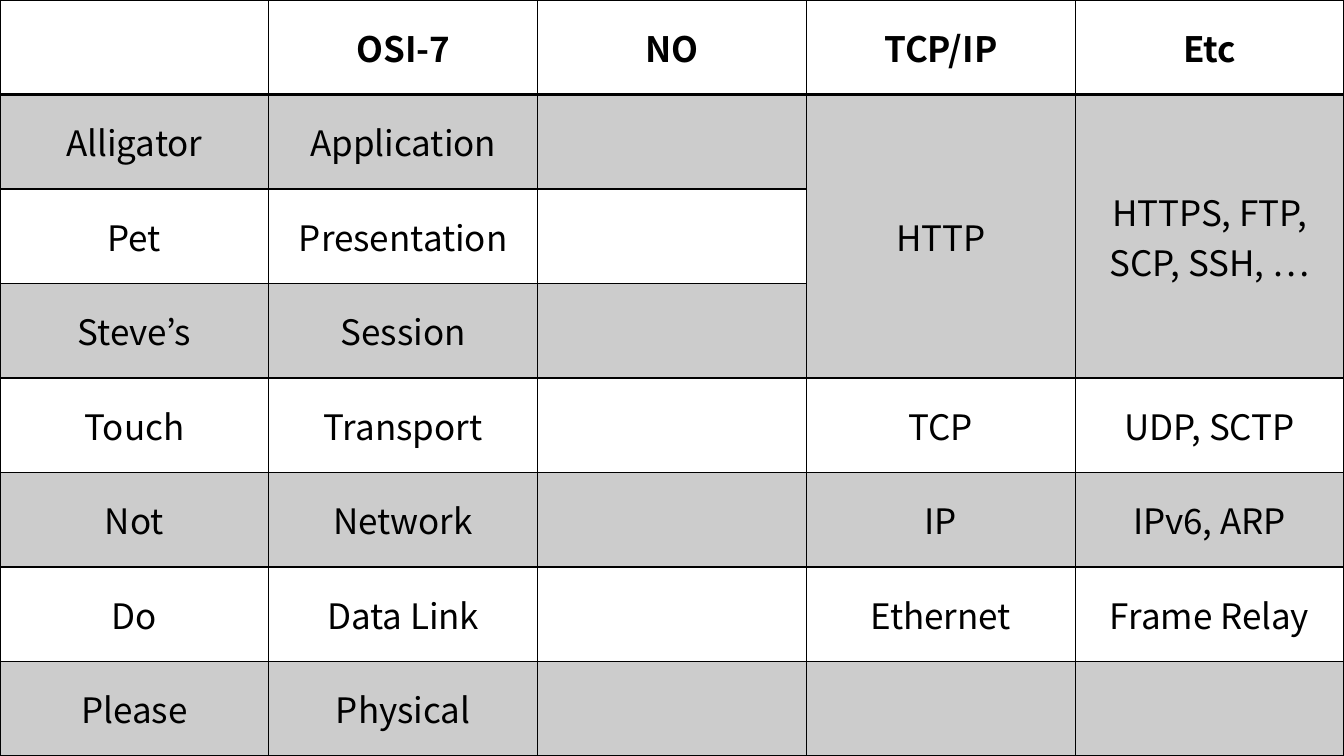
from lxml.etree import SubElement
from pptx import Presentation
from pptx.dml.color import RGBColor
from pptx.enum.text import MSO_ANCHOR, PP_ALIGN
from pptx.oxml import parse_xml
from pptx.oxml.ns import nsdecls, qn
from pptx.util import Cm, Pt

ROWS = [
    ("", "OSI-7", "NO", "TCP/IP", "Etc"),
    ("Alligator", "Application", "", "HTTP", "HTTPS, FTP, SCP, SSH, …"),
    ("Pet", "Presentation", "", "", ""),
    ("Steve’s", "Session", "", "", ""),
    ("Touch", "Transport", "", "TCP", "UDP, SCTP"),
    ("Not", "Network", "", "IP", "IPv6, ARP"),
    ("Do", "Data Link", "", "Ethernet", "Frame Relay"),
    ("Please", "Physical", "", "", ""),
]
MERGED = [(1, 3, 3), (1, 4, 3)]
COLORS = {"ink": "000000", "band": "000000"}
BAND_ALPHA = 20
FONT = "Noto Sans CJK KR"
PLAIN_STYLE = "{2D5ABB26-0587-4C30-8999-92F81FD0307C}"
WIDTH, HEIGHT = Cm(33.87), Cm(19.05)


def paint(cell, shaded):
    if not shaded:
        cell.fill.background()
        return
    cell.fill.solid()
    cell.fill.fore_color.rgb = RGBColor.from_string(COLORS["band"])
    color = cell._tc.tcPr.find(".//" + qn("a:srgbClr"))
    SubElement(color, qn("a:alpha"), val=str(BAND_ALPHA * 1000))


def frame(cell, row):
    widths = {"L": 1, "R": 1, "T": 2 if row == 1 else 1, "B": 2 if row == 0 else 1}
    for index, (side, width) in enumerate(widths.items()):
        line = parse_xml(
            f'<a:ln{side} {nsdecls("a")} w="{Pt(width)}"><a:solidFill>'
            f'<a:srgbClr val="{COLORS["ink"]}"/></a:solidFill></a:ln{side}>'
        )
        cell._tc.tcPr.insert(index, line)


def write(cell, text, bold):
    cell.vertical_anchor = MSO_ANCHOR.MIDDLE
    par = cell.text_frame.paragraphs[0]
    par.alignment = PP_ALIGN.CENTER
    if text:
        run = par.add_run()
        run.text = text
        run.font.name = FONT
        run.font.size = Pt(25)
        run.font.bold = bold
        run.font.color.rgb = RGBColor.from_string(COLORS["ink"])


def main():
    deck = Presentation()
    deck.slide_width, deck.slide_height = WIDTH, HEIGHT
    slide = deck.slides.add_slide(deck.slide_layouts[6])
    table = slide.shapes.add_table(
        len(ROWS), len(ROWS[0]), Cm(0), Cm(0), WIDTH, HEIGHT
    ).table
    table.first_row = table.horz_banding = False
    table._tbl.tblPr.find(qn("a:tableStyleId")).text = PLAIN_STYLE

    for row, texts in enumerate(ROWS):
        for col, text in enumerate(texts):
            cell = table.cell(row, col)
            write(cell, text, row == 0)
            paint(cell, row % 2 == 1)
            frame(cell, row)
    for row, col, span in MERGED:
        table.cell(row, col).merge(table.cell(row + span - 1, col))

    deck.save("out.pptx")


if __name__ == "__main__":
    main()
